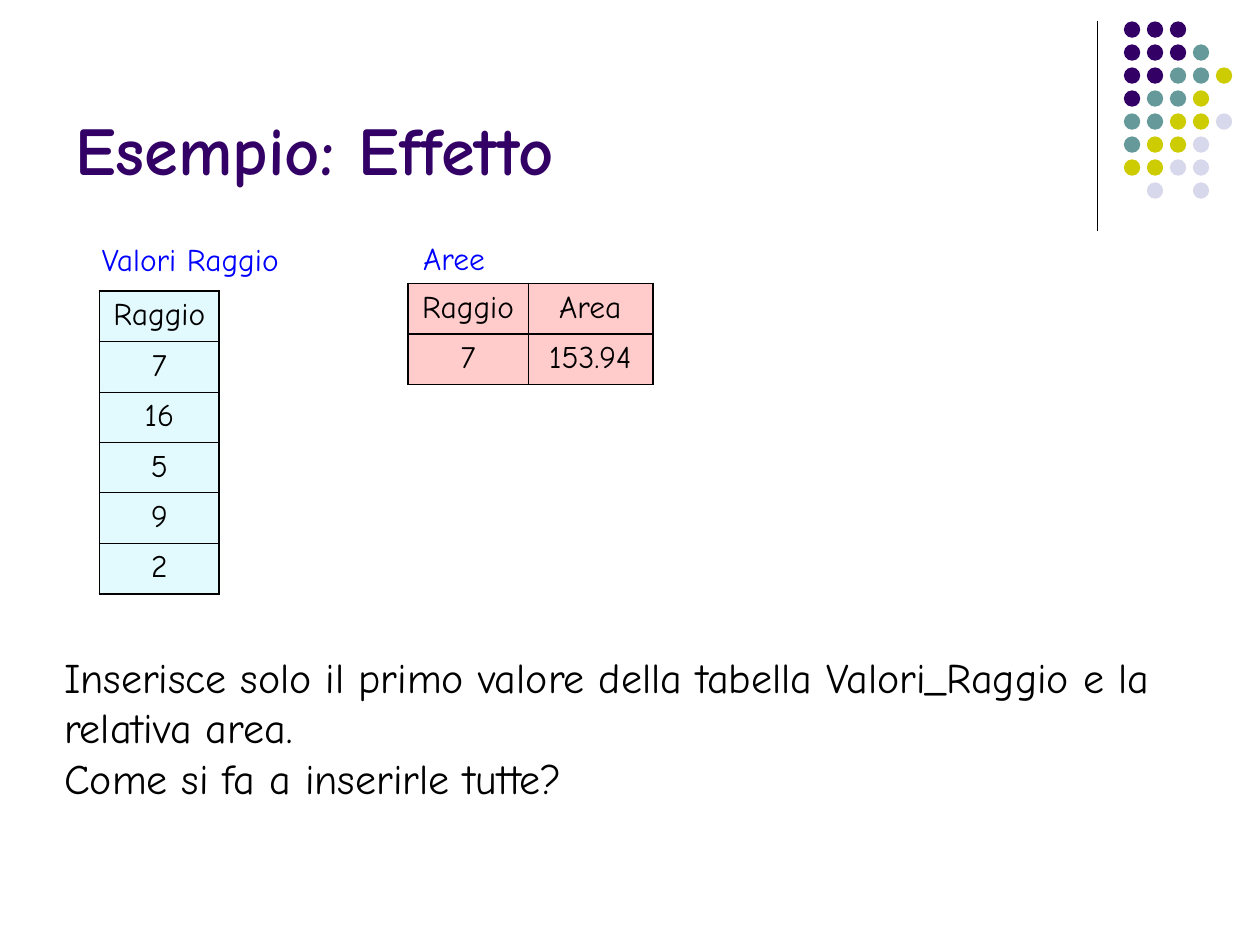
"""Slide showing the effect of inserting a single radius and its area."""
from lxml import etree
from pptx import Presentation
from pptx.dml.color import RGBColor
from pptx.enum import shapes, text
from pptx.oxml.ns import qn
from pptx.util import Inches, Pt

FONT = "Comic Neue"
BLACK = RGBColor(0x00, 0x00, 0x00)
BLUE = RGBColor(0x00, 0x00, 0xFF)
PURPLE = RGBColor(0x33, 0x00, 0x66)
TEAL = RGBColor(0x66, 0x99, 0x99)
OLIVE = RGBColor(0xCC, 0xCC, 0x00)
LILAC = RGBColor(0xD8, 0xD8, 0xEC)
PINK = RGBColor(0xFF, 0x99, 0x99)
CYAN = RGBColor(0xC7, 0xF4, 0xFD)
THICK, THIN = 1.08, 0.45


def add_text(box, lines, size, color, bold=False, wrap=True):
    left, top, width, height = (Inches(v) for v in box)
    tf = s.shapes.add_textbox(left, top, width, height).text_frame
    tf.word_wrap = wrap
    for i, line in enumerate(lines):
        p = tf.add_paragraph() if i else tf.paragraphs[0]
        r = p.add_run()
        r.text = line
        r.font.name, r.font.size, r.font.bold = FONT, Pt(size), bold
        r.font.color.rgb = color
    return tf


def add_grid(left, top, widths, rows, color, inner):
    height = 0.4
    frame = s.shapes.add_table(len(rows), len(widths), Inches(left), Inches(top),
                               Inches(sum(widths)), Inches(height * len(rows)))
    table = frame.table
    table.first_row = table.horz_banding = False
    for column, width in zip(table.columns, widths):
        column.width = Inches(width)
    for i, values in enumerate(rows):
        table.rows[i].height = Inches(height)
        for j, value in enumerate(values):
            cell = table.cell(i, j)
            p = cell.text_frame.paragraphs[0]
            p.alignment = text.PP_ALIGN.CENTER
            r = p.add_run()
            r.text = value
            r.font.name, r.font.size = FONT, Pt(18)
            r.font.color.rgb = BLACK
            borders = {
                "a:lnL": THIN if j else THICK,
                "a:lnR": THIN if j < len(widths) - 1 else THICK,
                "a:lnT": inner if i else THICK,
                "a:lnB": inner if i < len(rows) - 1 else THICK,
            }
            tcPr = cell._tc.get_or_add_tcPr()
            for tag, weight in borders.items():
                ln = etree.SubElement(tcPr, qn(tag), w=str(int(Pt(weight))))
                fill = etree.SubElement(ln, qn("a:solidFill"))
                etree.SubElement(fill, qn("a:srgbClr"), val=str(BLACK))
            cell.fill.solid()
            cell.fill.fore_color.rgb = color
            clr = tcPr.find(qn("a:solidFill")).find(qn("a:srgbClr"))
            etree.SubElement(clr, qn("a:alpha"), val="50000")


prs = Presentation()
prs.slide_width, prs.slide_height = Inches(10), Inches(7.5)
s = prs.slides.add_slide(prs.slide_layouts[6])

rule = s.shapes.add_connector(shapes.MSO_CONNECTOR.STRAIGHT, Inches(8.71), Inches(0.17),
                              Inches(8.71), Inches(1.83))
rule.line.color.rgb = BLACK
rule.line.width = Pt(0.75)
etree.SubElement(rule._element.spPr, qn("a:effectLst"))

dot_colors = {"P": PURPLE, "T": TEAL, "O": OLIVE, "L": LILAC}
dot_rows = ["PPP", "PPPT", "PPTTO", "PTTO", "TTOOL", "TOOL", "OOLL", ".L.L"]
pitch = 0.73 / 4
for i, row in enumerate(dot_rows):
    for j, key in enumerate(row):
        if key in dot_colors:
            sp = s.shapes.add_shape(shapes.MSO_SHAPE.OVAL, Inches(8.92 + j * pitch),
                                    Inches(0.17 + i * pitch), Inches(0.13), Inches(0.13))
            sp.shadow.inherit = False
            sp.fill.solid()
            sp.fill.fore_color.rgb = dot_colors[key]
            sp.line.fill.background()

title = add_text((0.5, 0.13, 8.25, 1.42), ["Esempio: Effetto"], 39, PURPLE, bold=True)
title.vertical_anchor = text.MSO_ANCHOR.BOTTOM

add_grid(3.24, 2.25, [0.95, 0.99], [["Raggio", "Area"], ["7", "153.94"]], PINK, THICK)
add_text((3.26, 1.85, 0.69, 0.4), ["Aree"], 18, BLUE, wrap=False)

radii = ["Raggio", "7", "16", "5", "9", "2"]
add_grid(0.79, 2.31, [0.95], [[value] for value in radii], CYAN, THIN)
add_text((0.71, 1.86, 1.62, 0.4), ["Valori Raggio"], 18, BLUE, wrap=False)

add_text((0.41, 5.12, 9.08, 1.3),
         ["Inserisce solo il primo valore della tabella Valori_Raggio e la relativa area.",
          "Come si fa a inserirle tutte?"], 24, BLACK)

prs.save("out.pptx")
